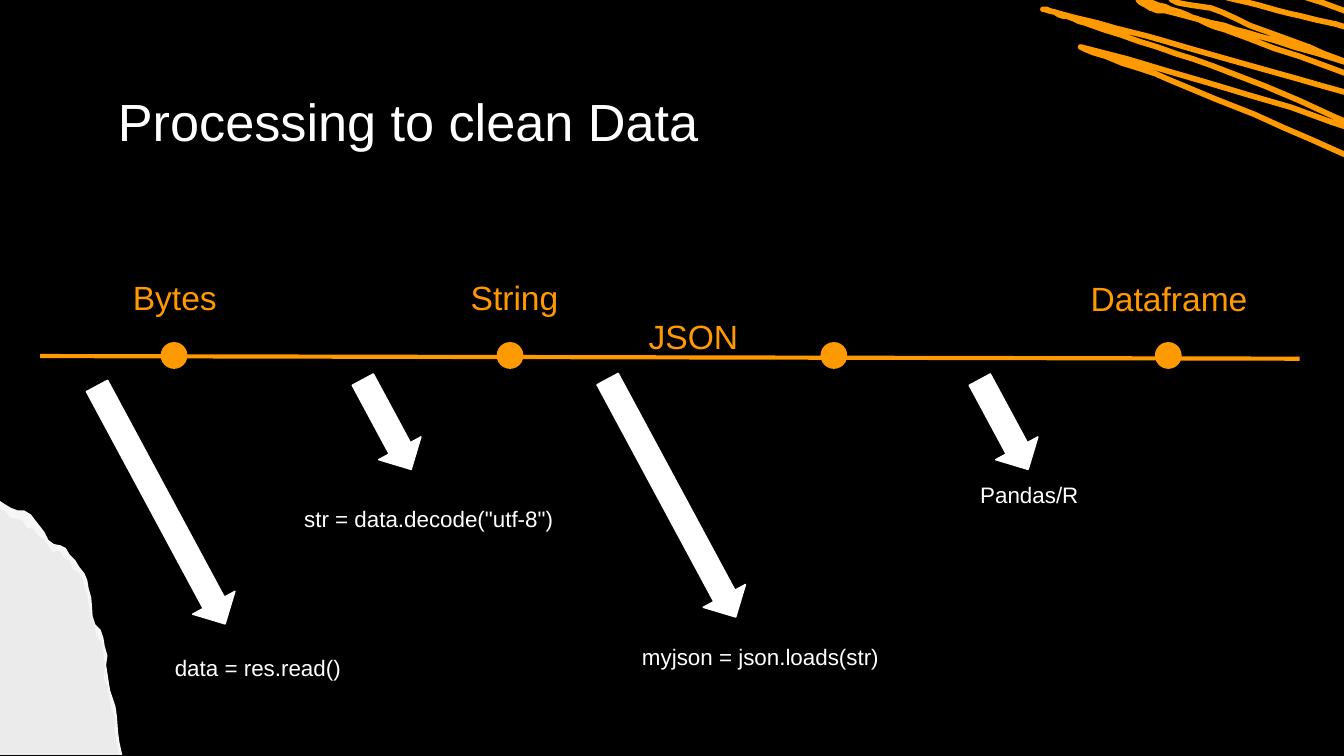
from dataclasses import dataclass

from lxml import etree
from pptx import Presentation
from pptx.dml.color import RGBColor
from pptx.enum.shapes import MSO_CONNECTOR, MSO_SHAPE
from pptx.enum.text import MSO_ANCHOR, PP_ALIGN
from pptx.oxml.ns import qn
from pptx.util import Cm, Pt


@dataclass(frozen=True)
class Theme:
    background: RGBColor = RGBColor(0, 0, 0)
    text: RGBColor = RGBColor(255, 255, 255)
    accent: RGBColor = RGBColor(0xFF, 0x99, 0)
    paper_rim: RGBColor = RGBColor(0xF6, 0xF6, 0xF6)
    paper: RGBColor = RGBColor(0xEB, 0xEB, 0xEB)
    font: str = "Arial"
    title_size: int = 28
    label_size: int = 18
    code_size: int = 12


THEME = Theme()
FREEFORM_UNIT = Cm(0.0254)  # outline points are given in 1/100 inch

# Each row is a Bézier segment: two control points and an end point
SCRIBBLE_START = (322, -6)
SCRIBBLE_CURVES = [
    (275, -16, 227, -19, 180, -31), (145, -39, 250, -10, 284, 2),
    (340, 22, 339, 23, 395, 44), (397, 45, 390, 42, 388, 41),
    (375, 38, 375, 38, 361, 35), (321, 25, 321, 25, 280, 15),
    (244, 6, 244, 6, 208, -3), (188, -8, 165, -33, 167, -12),
    (170, 11, 188, -1, 209, 9), (237, 23, 267, 32, 296, 44),
    (331, 58, 365, 74, 399, 89), (402, 90, 406, 92, 404, 90),
    (363, 61, 311, 50, 263, 35), (219, 21, 219, 22, 175, 10),
    (162, 6, 160, 10, 149, 2), (140, -5, 160, 3, 171, 7),
    (191, 14, 191, 15, 211, 22), (261, 40, 311, 58, 360, 76),
    (366, 78, 366, 79, 371, 81), (385, 88, 385, 88, 399, 94),
    (409, 99, 426, 94, 419, 103), (413, 112, 409, 99, 398, 96),
    (302, 69, 302, 69, 206, 42), (142, 24, 142, 24, 77, 7),
    (75, 6, 79, 7, 80, 8), (94, 12, 94, 13, 107, 17),
    (143, 30, 180, 40, 215, 54), (285, 81, 353, 114, 420, 146),
    (427, 149, 413, 144, 406, 141), (378, 127, 379, 124, 350, 113),
    (272, 81, 190, 58, 108, 36), (87, 30, 149, 51, 169, 59),
    (276, 103, 276, 105, 382, 151),
]

PAPER_RIM = [
    (0, 202), (0, 13), (3, 15), (8, 18), (13, 20), (18, 20), (23, 23), (26, 27),
    (30, 32), (33, 36), (36, 42), (40, 45), (45, 46), (49, 48), (52, 53), (56, 57),
    (59, 62), (63, 67), (65, 72), (66, 78), (68, 85), (69, 99), (71, 105), (75, 109),
    (77, 115), (78, 121), (80, 128), (79, 135), (81, 148), (82, 154), (86, 166),
    (87, 173), (88, 186), (89, 193), (91, 202),
]
PAPER_FACE = [
    (0, 202), (0, 19), (4, 21), (8, 26), (12, 26), (17, 28), (20, 33), (25, 34),
    (28, 39), (33, 41), (36, 47), (39, 51), (44, 50), (47, 55), (52, 58), (54, 64),
    (58, 66), (62, 72), (63, 78), (65, 84), (66, 91), (67, 97), (69, 102), (71, 109),
    (72, 114), (76, 119), (77, 126), (78, 138), (77, 145), (80, 151), (81, 157),
    (83, 169), (86, 175), (85, 182), (87, 194), (88, 200), (89, 202),
]


def add_text(slide, box, text, size, color, align=PP_ALIGN.CENTER, anchor=MSO_ANCHOR.TOP):
    text_box = slide.shapes.add_textbox(*(Cm(length) for length in box))
    text_frame = text_box.text_frame
    text_frame.word_wrap = True
    text_frame.vertical_anchor = anchor
    text_frame.margin_left = text_frame.margin_right = Cm(0.25)
    text_frame.margin_top = text_frame.margin_bottom = Cm(0.25)
    text_frame.text = text
    paragraph = text_frame.paragraphs[0]
    paragraph.alignment = align
    font = paragraph.runs[0].font
    font.name, font.size = THEME.font, Pt(size)
    font.color.rgb = color


def add_solid(slide, kind, box, color):
    shape = slide.shapes.add_shape(kind, *(Cm(length) for length in box))
    shape.shadow.inherit = False
    shape.fill.solid()
    shape.fill.fore_color.rgb = color
    shape.line.color.rgb = color
    shape.line.width = Pt(0.75)
    return shape


def add_outline(slide, left, top, points, close):
    builder = slide.shapes.build_freeform(*points[0], scale=FREEFORM_UNIT)
    builder.add_line_segments(points[1:], close=close)
    shape = builder.convert_to_shape(Cm(left), Cm(top))
    shape.shadow.inherit = False
    return shape


def curve_points(start, curves, steps=8):
    points = [start]
    for x1, y1, x2, y2, x3, y3 in curves:
        x0, y0 = points[-1]
        for step in range(1, steps + 1):
            t = step / steps
            weights = ((1 - t) ** 3, 3 * t * (1 - t) ** 2, 3 * t * t * (1 - t), t ** 3)
            points.append((
                sum(w * x for w, x in zip(weights, (x0, x1, x2, x3))),
                sum(w * y for w, y in zip(weights, (y0, y1, y2, y3))),
            ))
    return points


def add_scribble(slide, left, top):
    shape = add_outline(slide, left, top, curve_points(SCRIBBLE_START, SCRIBBLE_CURVES), False)
    shape.fill.background()
    shape.line.color.rgb = THEME.accent
    shape.line.width = Pt(3)
    line = shape.line._get_or_add_ln()
    line.set("cap", "rnd")
    etree.SubElement(line, qn("a:round"))


def add_torn_paper(slide, left, top):
    for points, color in ((PAPER_RIM, THEME.paper_rim), (PAPER_FACE, THEME.paper)):
        shape = add_outline(slide, left, top, points, True)
        shape.fill.solid()
        shape.fill.fore_color.rgb = color
        shape.line.fill.background()


def add_timeline(slide, left, top, width):
    # Axis
    axis = slide.shapes.add_connector(
        MSO_CONNECTOR.STRAIGHT, Cm(left), Cm(top), Cm(left + width), Cm(top + 0.05))
    axis.line.color.rgb = THEME.accent
    axis.line.width = Pt(2.25)
    etree.SubElement(axis._element.spPr, qn("a:effectLst"))

    # Stages: dot offset, label, label offset, label rise, alignment
    stages = [
        (2.29, "Bytes", -0.68, 1.75, PP_ALIGN.CENTER),
        (8.64, "String", 5.74, 1.75, PP_ALIGN.CENTER),
        (14.76, "JSON", 11.25, 1.01, PP_ALIGN.LEFT),
        (21.08, "Dataframe", 18.11, 1.73, PP_ALIGN.CENTER),
    ]
    for dot_offset, label, label_offset, rise, align in stages:
        add_solid(slide, MSO_SHAPE.OVAL, (left + dot_offset, top - 0.25, 0.48, 0.48), THEME.accent)
        add_text(slide, (left + label_offset, top - rise, 6.45, 1.47), label,
                 THEME.label_size, THEME.accent, align)


def add_steps(slide, left, top):
    # Arrow x, y and length; code text and its x, y
    steps = [
        (0.94, 0.13, 5.11, "data = res.read()", 0, 5.26),
        (5.21, 0.2, 1.93, 'str = data.decode("utf-8")', 3.23, 2.44),
        (10.59, 0, 5.11, "myjson = json.loads(str)", 9.5, 5.05),
        (16.87, 0.2, 1.93, "Pandas/R", 14.58, 1.98),
    ]
    for arrow_x, arrow_y, length, code, code_x, code_y in steps:
        arrow = add_solid(slide, MSO_SHAPE.DOWN_ARROW,
                          (left + arrow_x, top + arrow_y, 0.91, length), THEME.text)
        arrow.rotation = 331.7
        add_text(slide, (left + code_x, top + code_y, 6.45, 2.21), code,
                 THEME.code_size, THEME.text)


def main():
    presentation = Presentation()
    presentation.slide_width, presentation.slide_height = Cm(25.4), Cm(14.29)
    slide = presentation.slides.add_slide(presentation.slide_layouts[6])
    slide.background.fill.solid()
    slide.background.fill.fore_color.rgb = THEME.background

    # Title and decoration
    add_text(slide, (1.98, 1.5, 21.44, 1.55), "Processing to clean Data",
             THEME.title_size, THEME.text, PP_ALIGN.LEFT, MSO_ANCHOR.MIDDLE)
    add_scribble(slide, 17.78, 0)
    add_torn_paper(slide, 0, 9.14)

    # Data formats and the steps between them
    add_timeline(slide, 0.76, 6.73, 23.8)
    add_steps(slide, 1.65, 6.86)
    presentation.save("out.pptx")


if __name__ == "__main__":
    main()
